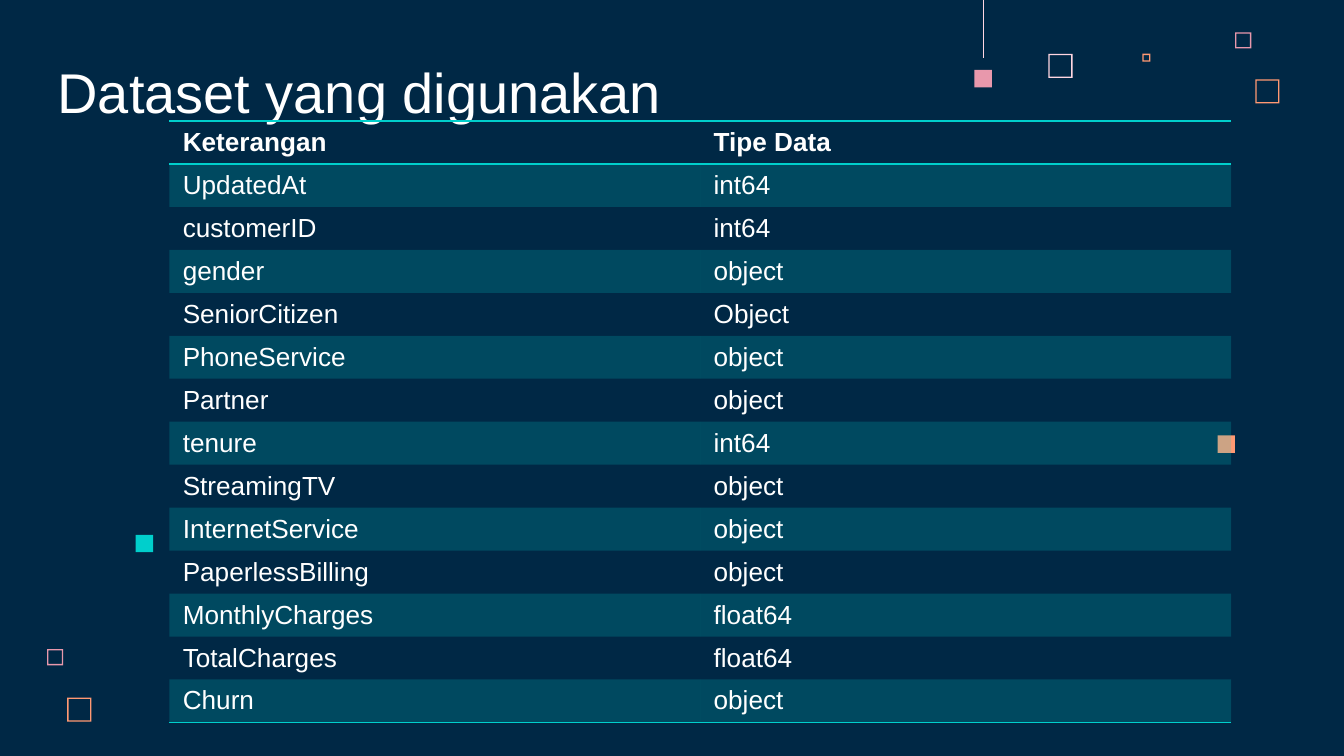
from lxml import etree
from pptx import Presentation
from pptx.dml.color import RGBColor
from pptx.enum.shapes import MSO_CONNECTOR, MSO_SHAPE
from pptx.enum.text import MSO_ANCHOR
from pptx.oxml import parse_xml
from pptx.oxml.ns import nsdecls, qn
from pptx.util import Inches, Pt

# Content
TITLE = "Dataset yang digunakan"
HEADER = ("Keterangan", "Tipe Data")
COLUMNS = [
    ("UpdatedAt", "int64"),
    ("customerID", "int64"),
    ("gender", "object"),
    ("SeniorCitizen", "Object"),
    ("PhoneService", "object"),
    ("Partner", "object"),
    ("tenure", "int64"),
    ("StreamingTV", "object"),
    ("InternetService", "object"),
    ("PaperlessBilling", "object"),
    ("MonthlyCharges", "float64"),
    ("TotalCharges", "float64"),
    ("Churn", "object"),
]

THEME = {
    "font": "Arial", "title_size": 30, "table_size": 14,
    "background": "002845", "text": "FFFFFF", "teal": "00CFCC",
    "blush": "FFD6E1", "pink": "E898AC", "orange": "FF9973",
}

# Decoration: left, top, side, colour
FRAMES = [
    (7.8, 0.4, 0.18, "blush"),
    (9.19, 0.24, 0.12, "pink"),
    (8.5, 0.4, 0.06, "orange"),
    (9.34, 0.59, 0.18, "orange"),
    (0.35, 4.83, 0.12, "pink"),
    (0.5, 5.19, 0.18, "orange"),
]
SQUARES = [
    (7.25, 0.52, 0.13, "pink"),
    (1.01, 3.98, 0.13, "teal"),
    (9.06, 3.24, 0.13, "orange"),
]
FRAME_WIDTH = 0.01
TABLE_LEFT, TABLE_TOP, TABLE_HEIGHT = 1.26, 0.9, 4.67
COLUMN_WIDTH, ROW_HEIGHT = 3.95, 0.3
PLAIN_TABLE_STYLE = "{2D5ABB26-0587-4C30-8999-92F81FD0307C}"


def color(name):
    return RGBColor.from_string(THEME[name])


def write(text_frame, text, size, bold=False):
    span = text_frame.paragraphs[0].add_run()
    span.text = text
    span.font.name = THEME["font"]
    span.font.size = Pt(size)
    span.font.bold = bold
    span.font.color.rgb = color("text")


def add_square(page, kind, left, top, side, fill):
    square = page.shapes.add_shape(
        kind, Inches(left), Inches(top), Inches(side), Inches(side))
    square.shadow.inherit = False
    square.fill.solid()
    square.fill.fore_color.rgb = color(fill)
    square.line.fill.background()
    return square


def fill_cell(cell, name, opacity):
    cell.fill.solid()
    cell.fill.fore_color.rgb = color(name)
    tint = cell._tc.tcPr.find(".//" + qn("a:srgbClr"))
    etree.SubElement(tint, qn("a:alpha")).set("val", str(opacity * 1000))


def add_borders(cell, sides):
    properties = cell._tc.get_or_add_tcPr()
    for index, side in enumerate(sides):
        properties.insert(index, parse_xml(
            f'<a:ln{side} {nsdecls("a")} w="{Pt(1)}"><a:solidFill>'
            f'<a:srgbClr val="{THEME["teal"]}"/></a:solidFill></a:ln{side}>'))


def add_table(page):
    rows = [HEADER, *COLUMNS]
    frame = page.shapes.add_table(
        len(rows), len(HEADER), Inches(TABLE_LEFT), Inches(TABLE_TOP),
        Inches(COLUMN_WIDTH * len(HEADER)), Inches(ROW_HEIGHT * len(rows)))
    table = frame.table
    table._tbl.tblPr.find(qn("a:tableStyleId")).text = PLAIN_TABLE_STYLE
    for row, values in enumerate(rows):
        table.rows[row].height = Inches(ROW_HEIGHT)
        for column, value in enumerate(values):
            cell = table.cell(row, column)
            cell.margin_bottom = Pt(2.6)
            write(cell.text_frame, value, THEME["table_size"], bold=row == 0)
            if row % 2:
                fill_cell(cell, "teal", 20)
            else:
                cell.fill.background()
            if row == 0:
                add_borders(cell, "TB")
            elif row == len(rows) - 1:
                add_borders(cell, "B")
    frame.height = Inches(TABLE_HEIGHT)


def main():
    deck = Presentation()
    deck.slide_width = Inches(10)
    deck.slide_height = deck.slide_width * 9 // 16
    page = deck.slides.add_slide(deck.slide_layouts[6])
    page.background.fill.solid()
    page.background.fill.fore_color.rgb = color("background")

    # Decorative frames, squares and hanging thread
    for left, top, side, fill in FRAMES:
        frame = add_square(page, MSO_SHAPE.FRAME, left, top, side, fill)
        frame.adjustments[0] = FRAME_WIDTH / side
    for square in SQUARES:
        add_square(page, MSO_SHAPE.RECTANGLE, *square)
    thread = page.shapes.add_connector(
        MSO_CONNECTOR.STRAIGHT, Inches(7.32), 0, Inches(7.32), Inches(0.43))
    thread.line.color.rgb = color("blush")
    thread.line.width = Pt(0.5)
    etree.SubElement(thread._element.spPr, qn("a:effectLst"))

    # Title
    box = page.shapes.add_textbox(
        Inches(0.33), Inches(0.4), Inches(6.73), Inches(0.63))
    text = box.text_frame
    text.word_wrap = True
    text.vertical_anchor = MSO_ANCHOR.BOTTOM
    text.margin_left = text.margin_right = Inches(0.1)
    text.margin_top = text.margin_bottom = Inches(0.1)
    write(text, TITLE, THEME["title_size"])

    # Data types
    add_table(page)
    deck.save("out.pptx")


if __name__ == "__main__":
    main()
